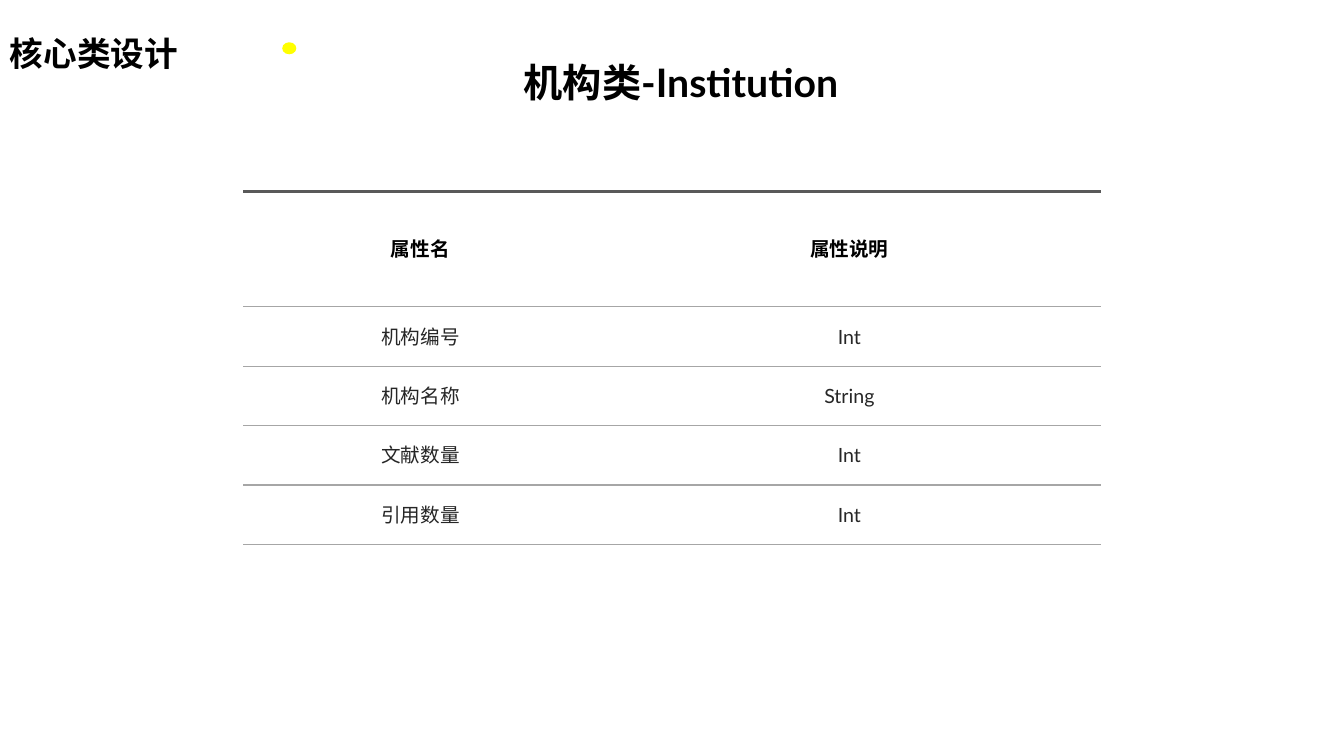
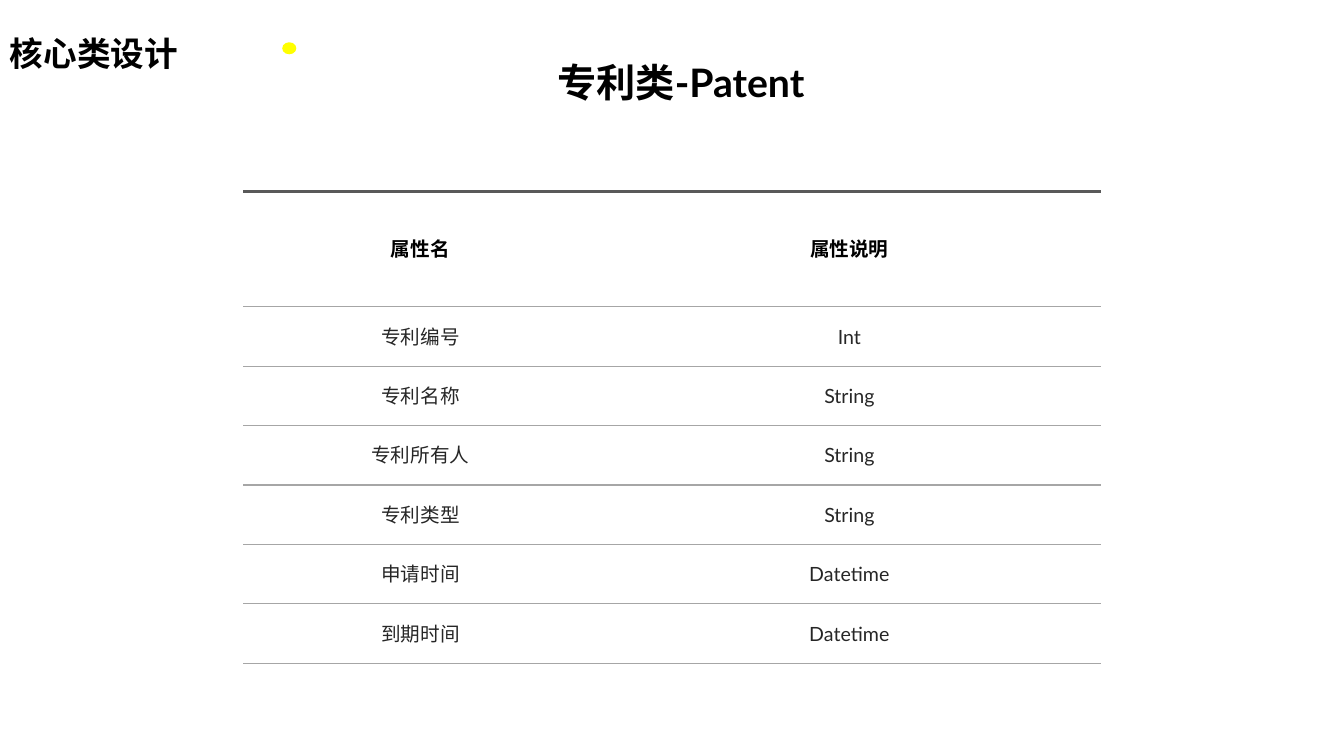
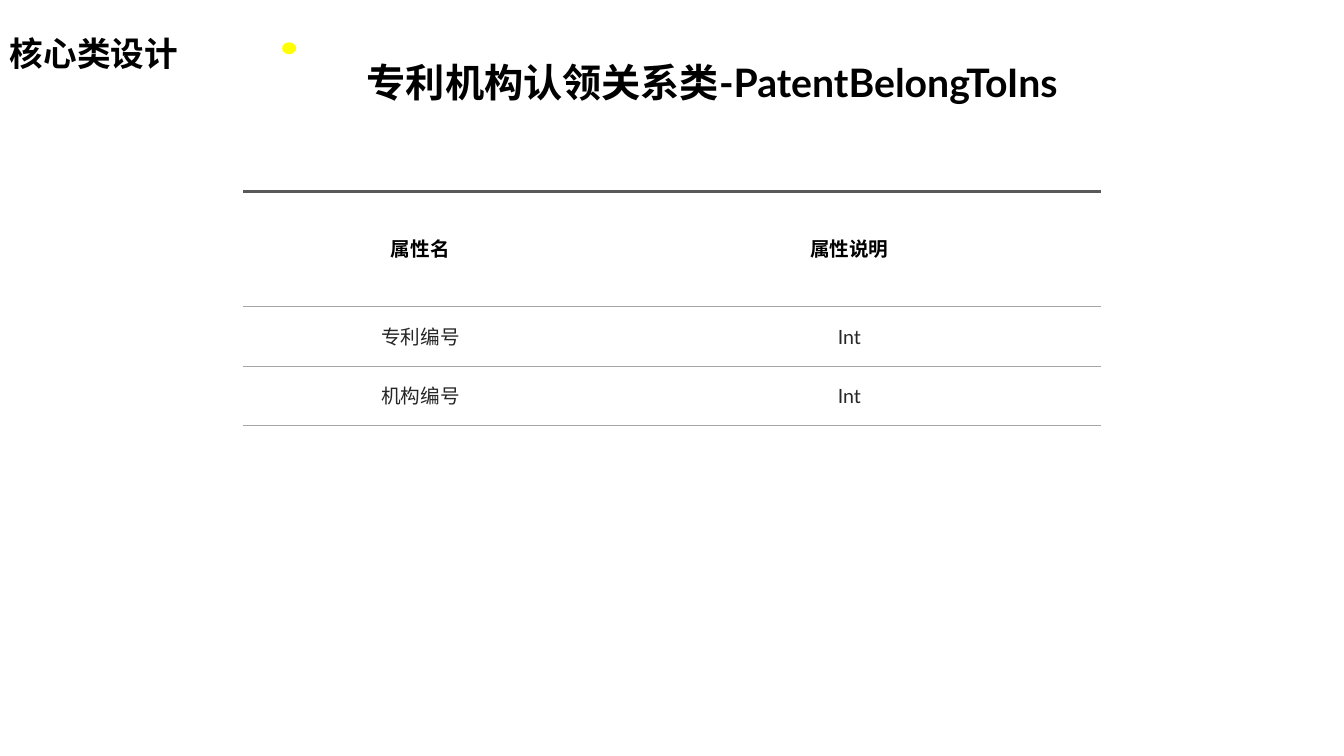
from dataclasses import dataclass

from lxml.etree import SubElement
from pptx import Presentation
from pptx.dml.color import RGBColor
from pptx.enum.shapes import MSO_SHAPE
from pptx.enum.text import MSO_ANCHOR, MSO_AUTO_SIZE, PP_ALIGN
from pptx.oxml.ns import qn
from pptx.presentation import Presentation as Deck
from pptx.slide import Slide
from pptx.table import _Cell
from pptx.text.text import TextFrame
from pptx.util import Pt

FONT = "Lato"
BLACK = RGBColor(0x00, 0x00, 0x00)
DARK = RGBColor(0x26, 0x26, 0x26)
TOP_RULE = RGBColor(0x59, 0x59, 0x59)
ROW_RULE = RGBColor(0xA6, 0xA6, 0xA6)
YELLOW = RGBColor(0xFF, 0xFF, 0x00)

SECTION = "核心类设计"
HEADER = ("属性名", "属性说明")
COL_WIDTHS = (253.5, 359.3)
TABLE_LEFT, TABLE_TOP = 173.6, 136.8
HEADER_HEIGHT, ROW_HEIGHT = 82.4, 42.45
NO_STYLE = "{2D5ABB26-0587-4C30-8999-92F81FD0307C}"


@dataclass(frozen=True)
class ClassSlide:
    title: str
    attributes: tuple[tuple[str, str], ...]
    title_left: float = 273.6
    title_width: float = 425.5


SLIDES = (
    ClassSlide("机构类-Institution", (
        ("机构编号", "Int"),
        ("机构名称", "String"),
        ("文献数量", "Int"),
        ("引用数量", "Int"),
    )),
    ClassSlide("专利类-Patent", (
        ("专利编号", "Int"),
        ("专利名称", "String"),
        ("专利所有人", "String"),
        ("专利类型", "String"),
        ("申请时间", "Datetime"),
        ("到期时间", "Datetime"),
    )),
    ClassSlide("专利机构认领关系类-PatentBelongToIns", (
        ("专利编号", "Int"),
        ("机构编号", "Int"),
    ), title_left=220.3, title_width=576.7),
)


def write(tf: TextFrame, text: str, *, size: float, bold: bool = True,
          color: RGBColor = BLACK, align: PP_ALIGN = PP_ALIGN.CENTER) -> None:
    p = tf.paragraphs[0]
    p.alignment = align
    r = p.add_run()
    r.text = text
    r.font.size = Pt(size)
    r.font.bold = bold
    r.font.name = FONT
    r.font.color.rgb = color
    SubElement(r.font._element, qn("a:ea"), typeface=FONT)


def add_border(cell: _Cell, side: str, color: RGBColor, width: float) -> None:
    ln = SubElement(cell._tc.get_or_add_tcPr(), qn(f"a:{side}"), w=str(Pt(width)))
    fill = SubElement(ln, qn("a:solidFill"))
    SubElement(fill, qn("a:srgbClr"), val=str(color))


def add_section_tag(s: Slide) -> None:
    tf = s.shapes.add_textbox(Pt(0), Pt(20.2), Pt(135.4), Pt(36)).text_frame
    tf.word_wrap = False
    tf.auto_size = MSO_AUTO_SIZE.SHAPE_TO_FIT_TEXT
    write(tf, SECTION, size=24, align=PP_ALIGN.LEFT)
    dot = s.shapes.add_shape(MSO_SHAPE.OVAL, Pt(201.6), Pt(30.2), Pt(10.1), Pt(8.6))
    dot.shadow.inherit = False
    dot.fill.solid()
    dot.fill.fore_color.rgb = YELLOW
    dot.line.fill.background()


def add_title(s: Slide, spec: ClassSlide) -> None:
    sp = s.shapes.title
    sp.left, sp.top = Pt(spec.title_left), Pt(38.2)
    sp.width, sp.height = Pt(spec.title_width), Pt(41)
    tf = sp.text_frame
    tf.word_wrap = True
    tf.auto_size = MSO_AUTO_SIZE.NONE
    tf.vertical_anchor = MSO_ANCHOR.TOP
    write(tf, spec.title, size=28)


def add_attribute_table(s: Slide, attributes: tuple[tuple[str, str], ...]) -> None:
    rows = (HEADER, *attributes)
    height = HEADER_HEIGHT + ROW_HEIGHT * len(attributes)
    table = s.shapes.add_table(len(rows), len(HEADER), Pt(TABLE_LEFT), Pt(TABLE_TOP),
                               Pt(sum(COL_WIDTHS)), Pt(height)).table
    table.first_row = table.horz_banding = False
    table._tbl.tblPr.find(qn("a:tableStyleId")).text = NO_STYLE
    for column, width in zip(table.columns, COL_WIDTHS):
        column.width = Pt(width)
    for i, values in enumerate(rows):
        is_header = i == 0
        table.rows[i].height = Pt(HEADER_HEIGHT if is_header else ROW_HEIGHT)
        for j, text in enumerate(values):
            cell = table.cell(i, j)
            cell.vertical_anchor = MSO_ANCHOR.MIDDLE
            if is_header:
                add_border(cell, "lnT", TOP_RULE, 2.25)
            else:
                add_border(cell, "lnT", ROW_RULE, 1)
            add_border(cell, "lnB", ROW_RULE, 1)
            cell.fill.background()
            write(cell.text_frame, text, size=14, bold=is_header,
                  color=BLACK if is_header else DARK)


def add_class_slide(prs: Deck, spec: ClassSlide) -> None:
    s = prs.slides.add_slide(prs.slide_layouts[5])
    add_attribute_table(s, spec.attributes)
    add_section_tag(s)
    add_title(s, spec)


def main() -> None:
    prs = Presentation()
    prs.slide_width, prs.slide_height = Pt(960), Pt(540)
    for spec in SLIDES:
        add_class_slide(prs, spec)
    prs.save("out.pptx")


if __name__ == "__main__":
    main()
